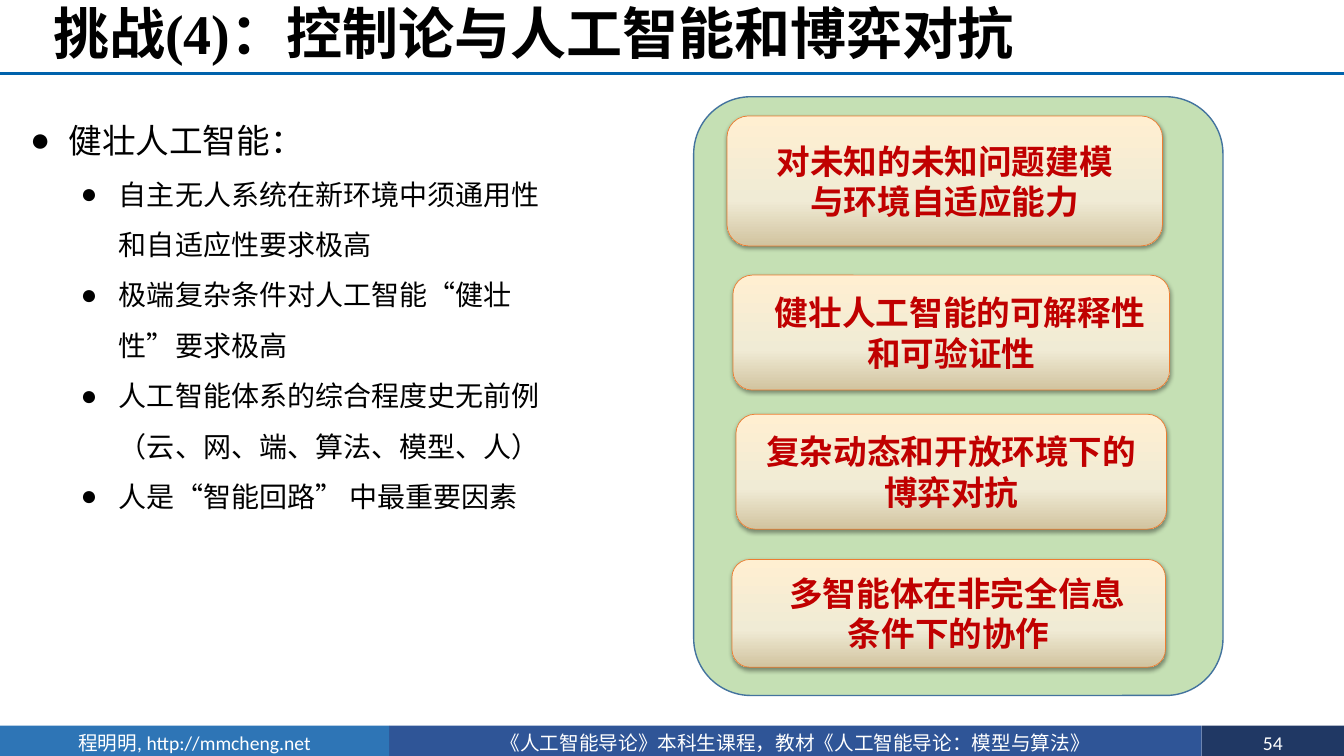
from lxml import etree
from pptx import Presentation
from pptx.dml.color import RGBColor
from pptx.enum.shapes import MSO_CONNECTOR, MSO_SHAPE
from pptx.enum.text import MSO_ANCHOR, MSO_AUTO_SIZE, PP_ALIGN
from pptx.oxml import parse_xml
from pptx.oxml.ns import nsdecls, qn
from pptx.util import Inches, Pt

BLACK = RGBColor(0x00, 0x00, 0x00)
WHITE = RGBColor(0xFF, 0xFF, 0xFF)
RED = RGBColor(0xC0, 0x00, 0x00)
ORANGE = RGBColor(0xED, 0x7D, 0x31)
GREEN = RGBColor(0xC5, 0xE0, 0xB4)
PANEL_EDGE = RGBColor(0x43, 0x73, 0x9E)
RULE_BLUE = RGBColor(0x00, 0x62, 0xAC)
AUTHOR_BLUE = RGBColor(0x2E, 0x75, 0xB6)
COURSE_BLUE = RGBColor(0x2F, 0x55, 0x97)
NUMBER_BLUE = RGBColor(0x20, 0x38, 0x64)

CARD_GRADIENT = f"""<a:gradFill {nsdecls('a')} rotWithShape="1"><a:gsLst>
<a:gs pos="0"><a:srgbClr val="FFEFD1"/></a:gs>
<a:gs pos="65000"><a:srgbClr val="F0EBD5"/></a:gs>
<a:gs pos="100000"><a:srgbClr val="D1C39F"/></a:gs>
</a:gsLst><a:lin ang="5400000" scaled="0"/></a:gradFill>"""
CARD_SHADOW = f"""<a:effectLst {nsdecls('a')}>
<a:outerShdw blurRad="39370" dist="20320" dir="5400000" rotWithShape="0">
<a:srgbClr val="000000"><a:alpha val="38000"/></a:srgbClr>
</a:outerShdw></a:effectLst>"""


def write(paragraph, text, size, color=BLACK, font="Times New Roman", bold=False,
          align=PP_ALIGN.LEFT, spacing=1.0):
    paragraph.alignment = align
    paragraph.line_spacing = spacing
    paragraph.space_before = Pt(0)
    run = paragraph.add_run()
    run.text = text
    run.font.name = font
    run.font.size = Pt(size)
    run.font.bold = bold
    run.font.color.rgb = color


def add_block(preset, left, top, width, height, fill):
    block = slide.shapes.add_shape(
        preset, Inches(left), Inches(top), Inches(width), Inches(height))
    block.shadow.inherit = False
    block.fill.solid()
    block.fill.fore_color.rgb = fill
    block.line.fill.background()
    frame = block.text_frame
    frame.word_wrap = True
    frame.vertical_anchor = MSO_ANCHOR.MIDDLE
    frame.margin_left = frame.margin_right = Inches(0.07)
    frame.margin_top = frame.margin_bottom = 0
    return block


prs = Presentation()
prs.slide_width = Inches(13.33)
prs.slide_height = Inches(7.5)
slide = prs.slides.add_slide(prs.slide_layouts[1])
title, challenges = slide.placeholders

# Footer band
for left, width, fill, text in [
    (3.86, 8.06, COURSE_BLUE, "《人工智能导论》本科生课程，教材《人工智能导论：模型与算法》"),
    (0, 3.86, AUTHOR_BLUE, "程明明, http://mmcheng.net"),
    (11.92, 1.41, NUMBER_BLUE, "54"),
]:
    band = add_block(MSO_SHAPE.RECTANGLE, left, 7.2, width, 0.34, fill)
    write(band.text_frame.paragraphs[0], text, 14, WHITE, "Calibri",
          align=PP_ALIGN.CENTER)

# Title and rule
title.left, title.top = Inches(0.43), 0
title.width, title.height = Inches(12.9), Inches(0.73)
title.text_frame.auto_size = MSO_AUTO_SIZE.NONE
title.text_frame.vertical_anchor = MSO_ANCHOR.MIDDLE
write(title.text_frame.paragraphs[0], "挑战(4)：控制论与人工智能和博弈对抗", 40,
      bold=True, spacing=0.9)

rule = slide.shapes.add_connector(
    MSO_CONNECTOR.STRAIGHT, 0, Inches(0.73), prs.slide_width, Inches(0.73))
rule.line.color.rgb = RULE_BLUE
rule.line.width = Pt(2)
etree.SubElement(rule._element.spPr, qn("a:effectLst"))

# Bulleted list
challenges.left, challenges.top = Inches(0.2), Inches(0.94)
challenges.width, challenges.height = Inches(5.48), Inches(4.3)
body = challenges.text_frame
body.auto_size = MSO_AUTO_SIZE.NONE
body.word_wrap = True
for i, (level, text) in enumerate([
    (0, "健壮人工智能："),
    (1, "自主无人系统在新环境中须通用性和自适应性要求极高"),
    (1, "极端复杂条件对人工智能“健壮性”要求极高"),
    (1, "人工智能体系的综合程度史无前例（云、网、端、算法、模型、人）"),
    (1, "人是“智能回路” 中最重要因素"),
]):
    paragraph = body.add_paragraph() if i else body.paragraphs[0]
    paragraph.level = level
    properties = paragraph._p.get_or_add_pPr()
    properties.set("marL", str(Inches(0.38 + 0.5 * level)))
    properties.set("indent", str(Inches(-0.38)))
    etree.SubElement(properties, qn("a:buChar"), char="●")
    write(paragraph, text, 20 if level else 24, spacing=1.5)

# Green panel with its cards
panel = add_block(MSO_SHAPE.ROUNDED_RECTANGLE, 6.88, 0.96, 5.25, 5.94, GREEN)
panel.adjustments[0] = 0.108
panel.line.color.rgb = PANEL_EDGE
panel.line.width = Pt(1)

for left, top, width, height, first_indent, lines in [
    (7.21, 1.15, 4.32, 1.29, 0, ["对未知的未知问题建模", "与环境自适应能力"]),
    (7.27, 2.73, 4.33, 1.14, 0.17, ["健壮人工智能的可解释性", "和可验证性"]),
    (7.3, 4.11, 4.27, 1.14, 0, ["复杂动态和开放环境下的", "博弈对抗"]),
    (7.26, 5.55, 4.3, 1.07, 0.17, ["多智能体在非完全信息", "条件下的协作"]),
]:
    card = add_block(MSO_SHAPE.ROUNDED_RECTANGLE, left, top, width, height, WHITE)
    card.line.color.rgb = ORANGE
    card.line.width = Pt(0.5)
    card_properties = card._element.spPr
    card_properties.replace(card_properties.find(qn("a:solidFill")),
                            parse_xml(CARD_GRADIENT))
    card_properties.replace(card_properties.find(qn("a:effectLst")),
                            parse_xml(CARD_SHADOW))
    frame = card.text_frame
    frame.paragraphs[0]._p.get_or_add_pPr().set("marL", str(Inches(first_indent)))
    frame.add_paragraph()
    for paragraph, text in zip(frame.paragraphs, lines):
        write(paragraph, text, 24, RED, bold=True, align=PP_ALIGN.CENTER)

prs.save("out.pptx")
